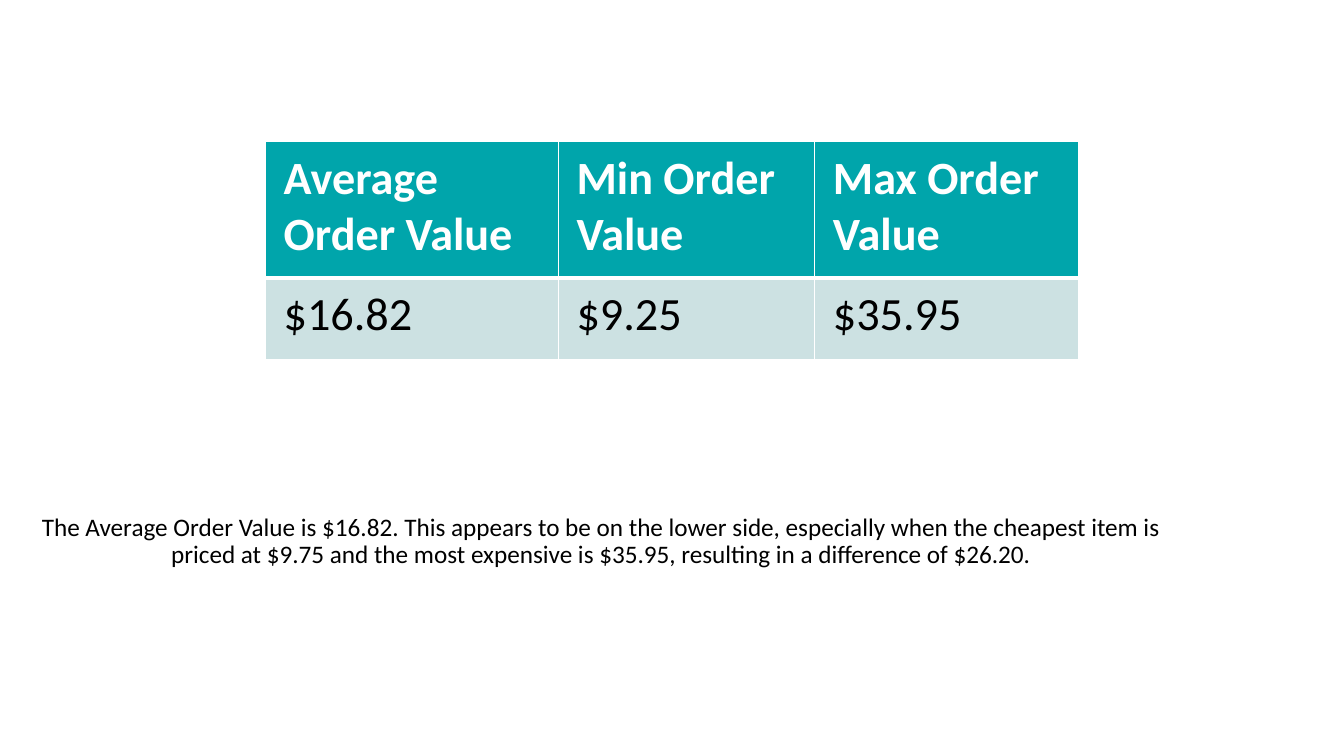
from lxml import etree
from pptx import Presentation, util as u
from pptx.dml.color import RGBColor
from pptx.enum import text
from pptx.oxml import ns


def colour(hex_code):
    return RGBColor.from_string(hex_code)


class OrderValueSlide:
    font = "Calibri"
    white, black, teal, pale_teal = "FFFFFF", "000000", "00A5AB", "CCE1E2"

    def __init__(self, deck):
        self.slide = deck.slides.add_slide(deck.slide_layouts[5])
        backdrop = self.slide.background.fill
        backdrop.solid()
        backdrop.fore_color.rgb = colour(self.white)

    def format_runs(self, paragraph, size, hex_code, bold=False):
        for run in paragraph.runs:
            run.font.name = self.font
            run.font.size = u.Pt(size)
            run.font.bold = bold
            run.font.color.rgb = colour(hex_code)

    def title(self, wording, left, top, width, height):
        takeaway = self.slide.shapes.title
        takeaway.left, takeaway.top = u.Cm(left), u.Cm(top)
        takeaway.width, takeaway.height = u.Cm(width), u.Cm(height)
        frame = takeaway.text_frame
        frame.text = wording
        frame.word_wrap = True
        frame.auto_size = text.MSO_AUTO_SIZE.NONE
        frame.vertical_anchor = text.MSO_ANCHOR.MIDDLE
        paragraph = frame.paragraphs[0]
        paragraph.alignment = text.PP_ALIGN.CENTER
        paragraph.line_spacing = 0.9
        self.format_runs(paragraph, 18, self.black)

    def border(self, cell, side, points):
        line = etree.SubElement(cell._tc.get_or_add_tcPr(), ns.qn(f"a:ln{side}"), w=str(u.Pt(points)))
        fill = etree.SubElement(line, ns.qn("a:solidFill"))
        etree.SubElement(fill, ns.qn("a:srgbClr"), val=self.white)

    def cell(self, cell, wording, is_header, borders):
        for side, points in borders.items():
            self.border(cell, side, points)
        cell.fill.solid()
        cell.fill.fore_color.rgb = colour(self.teal if is_header else self.pale_teal)
        cell.margin_left = cell.margin_right = u.Cm(0.46)
        cell.margin_top = cell.margin_bottom = u.Cm(0.23)
        cell.text_frame.text = wording
        self.format_runs(cell.text_frame.paragraphs[0], 33,
                         self.white if is_header else self.black, is_header)

    def table(self, rows, left, top, widths, heights):
        table = self.slide.shapes.add_table(
            len(rows), len(widths), u.Cm(left), u.Cm(top),
            u.Cm(sum(widths)), u.Cm(sum(heights))).table
        for column, width in zip(table.columns, widths):
            column.width = u.Cm(width)
        for r, (wordings, height) in enumerate(zip(rows, heights)):
            table.rows[r].height = u.Cm(height)
            borders = {"L": 1, "R": 1, "T": 3 if r == 1 else 1, "B": 3 if r == 0 else 1}
            for c, wording in enumerate(wordings):
                self.cell(table.cell(r, c), wording, r == 0, borders)


def main():
    deck = Presentation()
    deck.slide_width, deck.slide_height = u.Cm(33.87), u.Cm(19.05)
    page = OrderValueSlide(deck)
    page.title(
        "The Average Order Value is $16.82. This appears to be on the lower side, "
        "especially when the cheapest item is priced at $9.75 and the most expensive "
        "is $35.95, resulting in a difference of $26.20.",
        0, 11.71, 30.3, 3.89)
    page.table(
        [["Average Order Value", "Min Order Value", "Max Order Value"],
         ["$16.82", "$9.25", "$35.95"]],
        6.69, 3.56, [7.38, 6.46, 6.64], [3.44, 2.06])
    deck.save("out.pptx")


if __name__ == "__main__":
    main()
